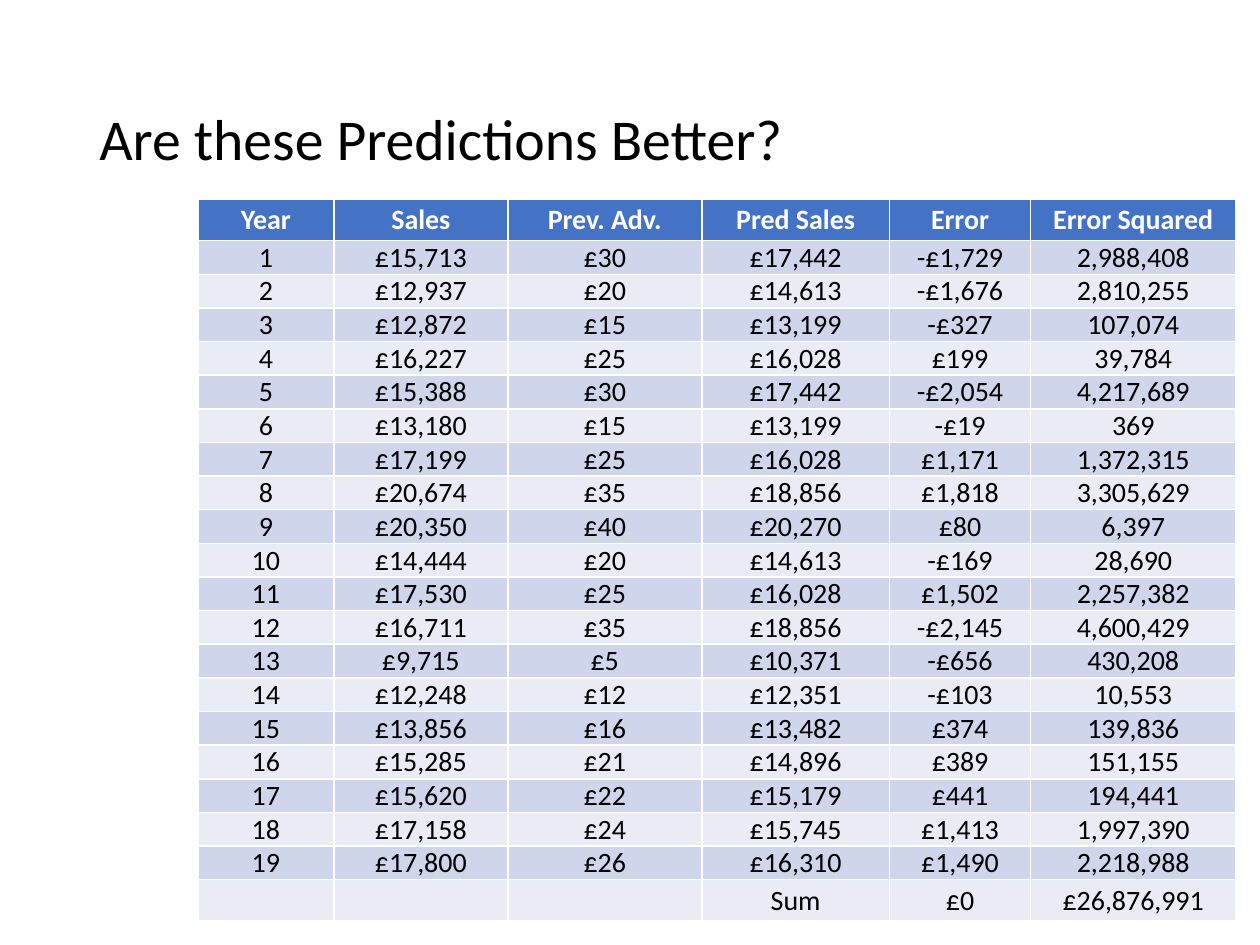
import dataclasses

import pptx
import pptx.dml.color
import pptx.enum.text
import pptx.util


@dataclasses.dataclass(frozen=True)
class Theme:
    font: str = "Calibri"
    title_size: int = 33
    cell_size: int = 16
    ink: str = "000000"
    head_ink: str = "FFFFFF"
    head_fill: str = "4472C4"
    bands: tuple = ("CFD5EA", "E9EBF5")


THEME = Theme()
WIDTH, HEIGHT = 10, 7.5
TITLE = "Are these Predictions Better?"
HEADS = ["Year", "Sales", "Prev. Adv.", "Pred Sales", "Error", "Error Squared"]
COLS = [1.08, 1.38, 1.54, 1.49, 1.12, 1.63]
EDGE_ROW, YEAR_ROW = 0.33, 0.26

# Sales, previous advertising, predicted sales, error squared: one line a year
YEARS = [
    (15713, 30, 17442, 2988408),
    (12937, 20, 14613, 2810255),
    (12872, 15, 13199, 107074),
    (16227, 25, 16028, 39784),
    (15388, 30, 17442, 4217689),
    (13180, 15, 13199, 369),
    (17199, 25, 16028, 1372315),
    (20674, 35, 18856, 3305629),
    (20350, 40, 20270, 6397),
    (14444, 20, 14613, 28690),
    (17530, 25, 16028, 2257382),
    (16711, 35, 18856, 4600429),
    (9715, 5, 10371, 430208),
    (12248, 12, 12351, 10553),
    (13856, 16, 13482, 139836),
    (15285, 21, 14896, 151155),
    (15620, 22, 15179, 194441),
    (17158, 24, 15745, 1997390),
    (17800, 26, 16310, 2218988),
]
TOTALS = ["", "", "", "Sum", "£0", "£26,876,991"]


def pounds(value):
    sign = "-" if value < 0 else ""
    return f"{sign}£{abs(value):,}"


def year_cells(year, sales, adv, pred, square):
    money = [pounds(value) for value in (sales, adv, pred, sales - pred)]
    return [str(year), *money, f"{square:,}"]


def style_runs(para, size, color, bold=False):
    for run in para.runs:
        run.font.name = THEME.font
        run.font.size = pptx.util.Pt(size)
        run.font.bold = bold
        run.font.color.rgb = pptx.dml.color.RGBColor.from_string(color)


def add_title(slide, box):
    shape = slide.shapes.add_textbox(*map(pptx.util.Inches, box))
    frame = shape.text_frame
    frame.word_wrap = True
    frame.vertical_anchor = pptx.enum.text.MSO_ANCHOR.MIDDLE
    frame.text = TITLE
    para = frame.paragraphs[0]
    para.line_spacing = 0.9
    style_runs(para, THEME.title_size, THEME.ink)


def fill_cell(cell, text, fill, color, bold):
    cell.margin_left = cell.margin_right = 0
    cell.margin_top = cell.margin_bottom = 0
    cell.vertical_anchor = pptx.enum.text.MSO_ANCHOR.MIDDLE
    cell.fill.solid()
    cell.fill.fore_color.rgb = pptx.dml.color.RGBColor.from_string(fill)
    if text:
        para = cell.text_frame.paragraphs[0]
        para.text = text
        para.alignment = pptx.enum.text.PP_ALIGN.CENTER
        style_runs(para, THEME.cell_size, color, bold)


def add_errors(slide, box):
    """Place the table of yearly errors; its white rules come from the table style."""
    body = [year_cells(year, *data) for year, data in enumerate(YEARS, 1)]
    rows = [HEADS, *body, TOTALS]
    frame = slide.shapes.add_table(
        len(rows), len(COLS), *map(pptx.util.Inches, box))
    table = frame.table
    for col, share in zip(table.columns, COLS):
        col.width = pptx.util.Inches(box[2] * share / sum(COLS))
    for i, texts in enumerate(rows):
        head = i == 0
        edge = head or i == len(rows) - 1
        table.rows[i].height = pptx.util.Inches(EDGE_ROW if edge else YEAR_ROW)
        fill = THEME.head_fill if head else THEME.bands[(i - 1) % 2]
        color = THEME.head_ink if head else THEME.ink
        for j, text in enumerate(texts):
            fill_cell(table.cell(i, j), text, fill, color, head)


def main():
    deck = pptx.Presentation()
    deck.slide_width = pptx.util.Inches(WIDTH)
    deck.slide_height = pptx.util.Inches(HEIGHT)
    slide = deck.slides.add_slide(deck.slide_layouts[6])
    add_title(slide, (0.69, 0.4, WIDTH - 2 * 0.69, 1.45))
    tall = 2 * EDGE_ROW + len(YEARS) * YEAR_ROW
    add_errors(slide, (1.57, 1.58, sum(COLS), tall))
    deck.save("out.pptx")


if __name__ == "__main__":
    main()
